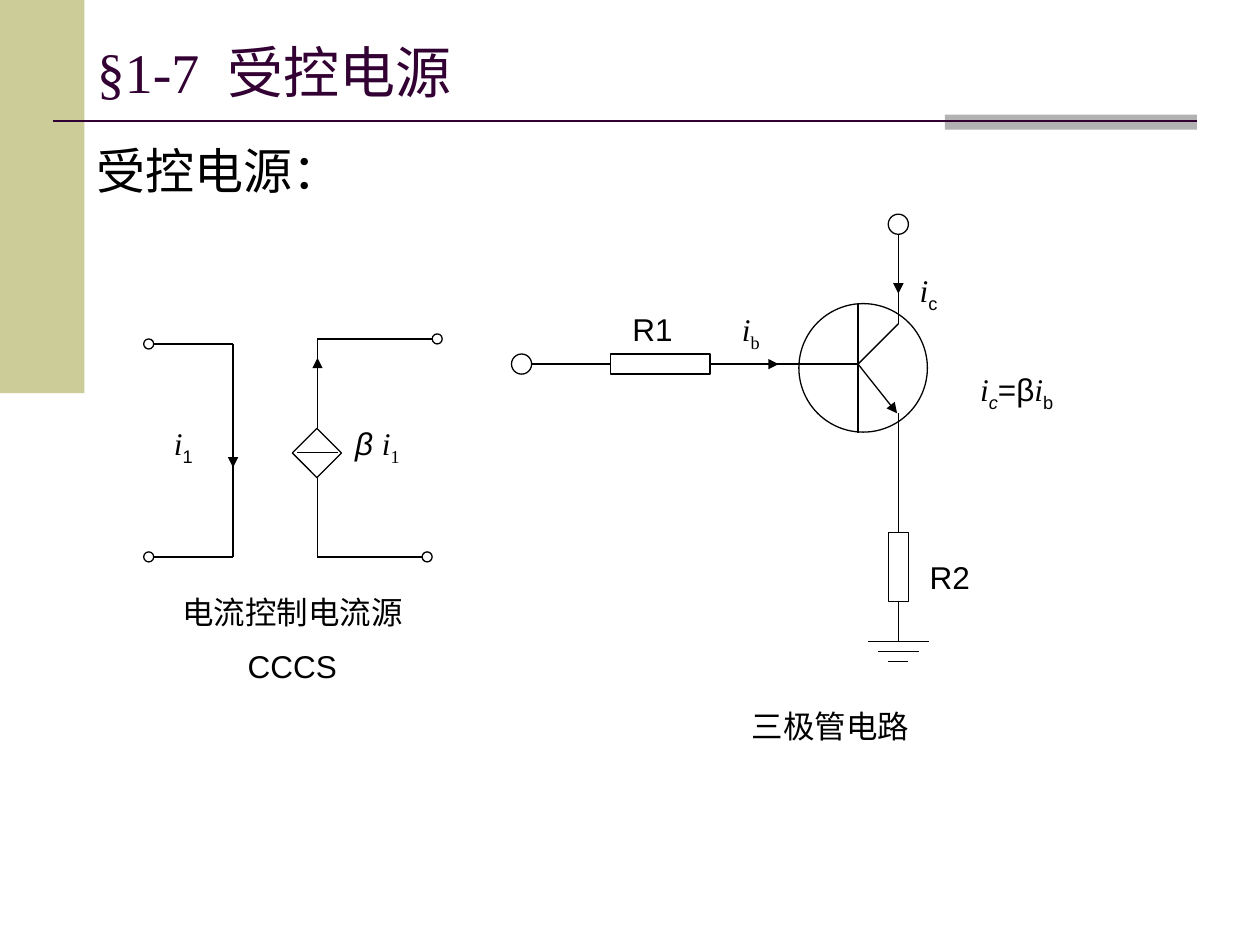
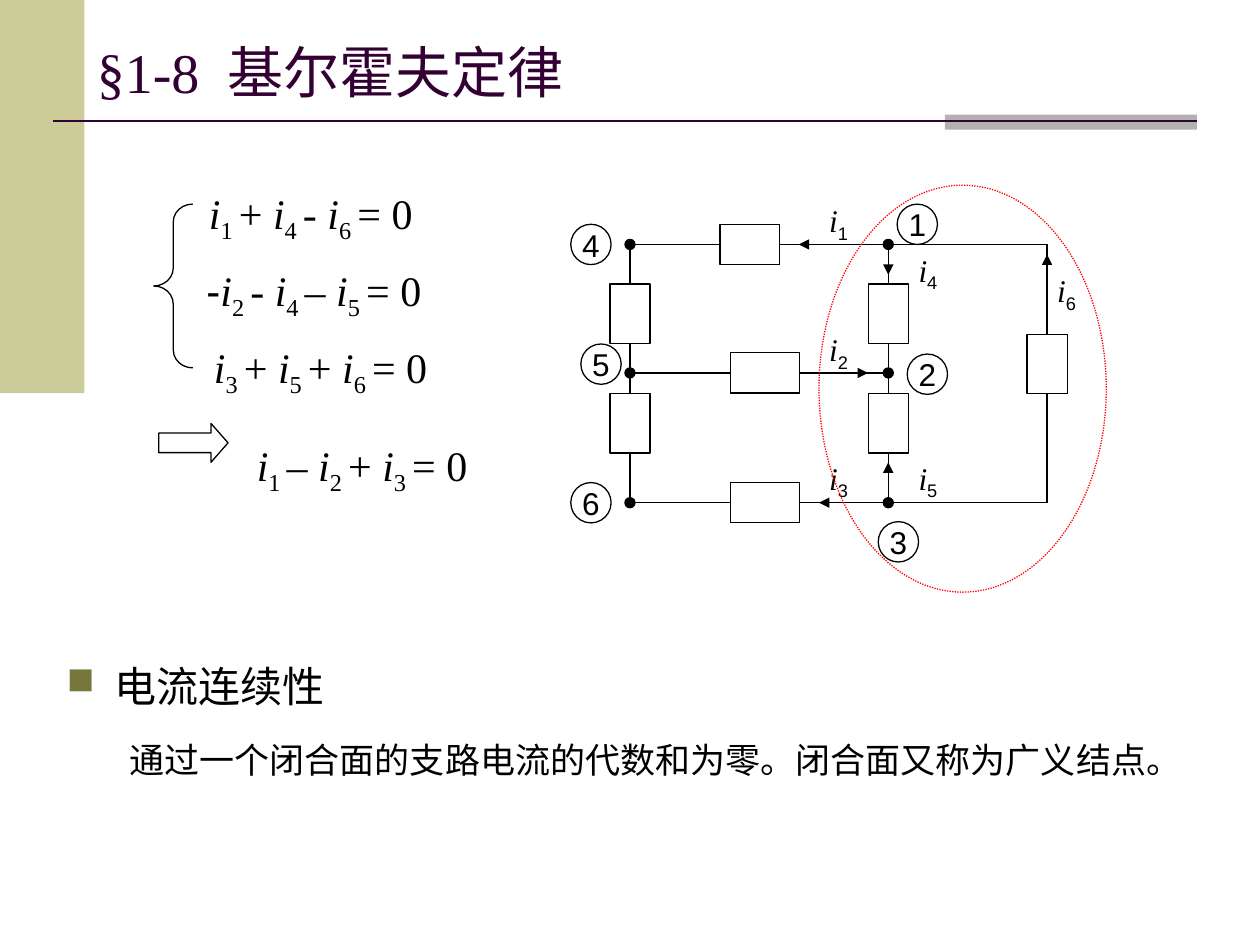
from dataclasses import dataclass

import pptx
import pptx.dml.color
import pptx.enum.dml
import pptx.enum.shapes
import pptx.enum.text
import pptx.oxml.ns
import pptx.oxml.xmlchemy
import pptx.util
from lxml import etree
from pptx.util import Inches

COLORS = {"olive": "CCCC99", "grey": "B2B2B2", "plum": "330033",
          "ink": "000000", "red": "FF0000", "bullet": "77773B"}
SANS, SERIF = "Arial", "Times New Roman"
SHAPE = pptx.enum.shapes.MSO_SHAPE
ALIGN = pptx.enum.text.PP_ALIGN
ANCHOR = pptx.enum.text.MSO_ANCHOR


def rgb(name):
    return pptx.dml.color.RGBColor.from_string(COLORS[name])


def add_element(parent, tag, **attributes):
    return etree.SubElement(parent, pptx.oxml.ns.qn(tag), attributes)


def format_run(run, size, font, color="ink", italic=False, subscript=False):
    run.font.size = pptx.util.Pt(size)
    run.font.name = font
    run.font.italic = italic
    run.font.color.rgb = rgb(color)
    if subscript:
        run.font._element.set("baseline", "-25000")


def add_run(paragraph, text, size, font, **style):
    if text:
        run = paragraph.add_run()
        run.text = text
        format_run(run, size, font, **style)


def write_symbols(paragraph, text, size, sub_font=SANS, rest_font=SANS):
    """Write text in which i_x stands for an italic i with subscript x."""
    lead, *pieces = text.split("i_")
    add_run(paragraph, lead, size, SANS)
    for piece in pieces:
        cut = 2 if piece[1:2] == " " else 1
        add_run(paragraph, "i", size, SERIF, italic=True)
        add_run(paragraph, piece[:cut], size, sub_font, subscript=True)
        add_run(paragraph, piece[cut:], size, rest_font)


@dataclass
class Region:
    """Part of a slide; all positions are measured from its corner."""
    slide: object
    left: float
    top: float

    def shape(self, kind, left, top, width, height, fill=None, line="ink"):
        shape = self.slide.shapes.add_shape(
            kind, Inches(self.left + left), Inches(self.top + top),
            Inches(width), Inches(height))
        shape.shadow.inherit = False
        if fill:
            shape.fill.solid()
            shape.fill.fore_color.rgb = rgb(fill)
        else:
            shape.fill.background()
        if line:
            shape.line.color.rgb = rgb(line)
            shape.line.width = pptx.util.Pt(0.75)
        else:
            shape.line.fill.background()
        return shape

    def circle(self, x, y, diameter, fill=None):
        return self.shape(SHAPE.OVAL, x - diameter / 2, y - diameter / 2,
                          diameter, diameter, fill)

    def resistor(self, x, y, width, height):
        return self.shape(SHAPE.RECTANGLE, x - width / 2, y - height / 2,
                          width, height)

    def line(self, start, end, arrow=False, color="ink", width=0.75):
        (x1, y1), (x2, y2) = start, end
        connector = self.slide.shapes.add_connector(
            pptx.enum.shapes.MSO_CONNECTOR.STRAIGHT,
            Inches(self.left + x1), Inches(self.top + y1),
            Inches(self.left + x2), Inches(self.top + y2))
        connector.line.color.rgb = rgb(color)
        connector.line.width = pptx.util.Pt(width)
        if arrow:
            add_element(connector.line._get_or_add_ln(), "a:tailEnd",
                        type="triangle")
        add_element(connector._element.spPr, "a:effectLst")

    def wire(self, *points):
        for start, end in zip(points, points[1:]):
            self.line(start, end)

    def arrow(self, start, end):
        self.line(start, end, arrow=True)

    def text_box(self, left, top, width, height):
        box = self.slide.shapes.add_textbox(
            Inches(self.left + left), Inches(self.top + top),
            Inches(width), Inches(height))
        box.text_frame.word_wrap = True
        return box.text_frame

    def label(self, text, left, top, width=0.47, align=ALIGN.LEFT,
              sub_font=SANS):
        paragraph = self.text_box(left, top, width, 0.4).paragraphs[0]
        paragraph.alignment = align
        write_symbols(paragraph, text, 18, sub_font)
        return paragraph


def add_frame(slide, number, title):
    page = Region(slide, 0, 0)
    # Side band, accent bar and rule
    page.shape(SHAPE.RECTANGLE, 0, 0, 0.67, 3.12, "olive", None)
    page.shape(SHAPE.RECTANGLE, 7.5, 0.91, 2, 0.12, "grey", None)
    page.line((0.42, 0.96), (9.5, 0.96), color="plum", width=1.5)
    # Title, with a wider space after the section number
    text_frame = page.text_box(0.67, 0.3, 8.83, 0.53)
    text_frame.vertical_anchor = ANCHOR.MIDDLE
    paragraph = text_frame.paragraphs[0]
    for text in (number, " ", title):
        add_run(paragraph, text, 32, SERIF, color="plum")
    paragraph.runs[1].font._element.set("spc", "800")


def add_current_source(slide, left, top):
    region = Region(slide, left, top)
    upper, lower = 0.08, 1.77
    input_x, output_x = 0.71, 1.38
    # Controlling branch
    for y in (upper, lower):
        region.circle(0.04, y, 0.08)
    region.wire((0.08, upper), (input_x, upper), (input_x, lower),
                (0.08, lower))
    region.arrow((input_x, 0.35), (input_x, 1.06))
    region.label("i_1", 0.08, 0.67, align=ALIGN.CENTER)
    # Controlled branch
    region.shape(SHAPE.DIAMOND, 1.18, 0.75, 0.39, 0.39)
    region.line((1.22, 0.94), (1.54, 0.94))
    region.wire((output_x, 0.75), (output_x, 0.04), (2.29, 0.04))
    region.wire((output_x, 1.14), (output_x, lower), (2.21, lower))
    region.circle(2.33, 0.04, 0.08)
    region.circle(2.25, lower, 0.08)
    region.arrow((output_x, 0.59), (output_x, 0.19))
    gain = region.label("β i_1", 1.42, 0.67, 0.87, ALIGN.CENTER, SERIF)
    gain.runs[0].font.italic = True
    # Caption
    caption = region.text_box(-0.16, 2.01, 2.68, 0.85)
    caption.text = "电流控制电流源\nCCCS"
    for paragraph in caption.paragraphs:
        paragraph.alignment = ALIGN.CENTER
        format_run(paragraph.runs[0], 18, SANS)
    caption.paragraphs[1].space_before = pptx.util.Pt(9)


def add_transistor_circuit(slide, left, top):
    region = Region(slide, left, top)
    base = (2.75, 1.19)
    base_y, output_x = 1.19, 3.07
    # Transistor
    region.shape(SHAPE.OVAL, 2.28, 0.71, 1.02, 1.02)
    region.line((base[0], 0.71), (base[0], 1.74))
    region.arrow(base, (3.06, 1.58))
    region.wire(base, (output_x, 0.87), (output_x, 0.16))
    # Base branch
    region.circle(0.08, base_y, 0.16)
    region.line((0.16, base_y), (0.78, base_y))
    region.resistor(1.18, base_y, 0.79, 0.16)
    region.line((1.57, base_y), base)
    region.arrow((1.73, base_y), (2.12, base_y))
    # Collector and emitter branches
    region.circle(output_x, 0.08, 0.16)
    region.arrow((output_x, 0.24), (output_x, 0.63))
    region.line((output_x, 1.58), (output_x, 2.52))
    region.resistor(output_x, 2.8, 0.16, 0.55)
    region.line((output_x, 3.07), (output_x, 3.39))
    # Ground
    for step in range(3):
        half, y = 0.24 - 0.08 * step, 3.39 + 0.08 * step
        region.line((output_x - half, y), (output_x + half, y))
    # Labels
    region.label("R1", 0.86, 0.71, 0.55)
    region.label("R2", 3.22, 2.68, 0.63)
    region.label("i_b", 1.73, 0.71, sub_font=SERIF)
    region.label("i_c", 3.14, 0.4)
    relation = region.label("i_c=βi_b", 3.62, 1.19, 2.05)
    relation.runs[1].font.italic = True
    region.label("三极管电路", 1.81, 3.86, 1.73)


def add_equations(slide, left, top):
    region = Region(slide, left, top)
    brace = region.shape(SHAPE.LEFT_BRACE, 0, 0, 0.31, 1.3)
    brace.adjustments[0] = 0.459
    arrow = region.shape(SHAPE.RIGHT_ARROW, 0.04, 1.74, 0.55, 0.31)
    arrow.adjustments[1] = 0.438
    text_frame = region.text_box(0.3, -0.09, 3, 2.5)
    # Equation, indent in inches, space before in points
    equations = [("i_1 + i_4 - i_6 = 0", 0.04, 0),
                 ("-i_2 - i_4 – i_5 = 0", 0.02, 18),
                 ("i_3 + i_5 + i_6 = 0", 0.08, 18),
                 ("i_1 – i_2 + i_3 = 0", 0.42, 30)]
    for index, (text, indent, space) in enumerate(equations):
        paragraph = (text_frame.add_paragraph() if index
                     else text_frame.paragraphs[0])
        paragraph.line_spacing = pptx.util.Pt(26)
        paragraph.space_before = pptx.util.Pt(space)
        paragraph._element.get_or_add_pPr().set("marL", str(Inches(indent)))
        write_symbols(paragraph, text, 24, SERIF, SERIF)


def add_network(slide, left, top):
    region = Region(slide, left, top)
    left_x, middle_x, right_x = 0.47, 2.52, 3.78
    rows = (0.47, 1.49, 2.52)
    # Horizontal branches: resistor centre, width and right end of the wire
    branches = [(1.42, 0.47, right_x), (1.54, 0.55, middle_x),
                (1.54, 0.55, right_x)]
    for y, (x, width, end) in zip(rows, branches):
        region.resistor(x, y, width, 0.32)
        region.line((left_x, y), (x - width / 2, y))
        region.line((x + width / 2, y), (end, y))
    # Vertical branches: column, resistor centre, upper and lower end
    columns = [(x, y, *ends) for x in (left_x, middle_x)
               for y, ends in ((1.02, rows[:2]), (1.89, rows[1:]))]
    columns.append((right_x, 1.42, rows[0], rows[2]))
    for x, y, upper, lower in columns:
        region.resistor(x, y, 0.32, 0.47)
        region.line((x, upper), (x, y - 0.235))
        region.line((x, y + 0.235), (x, lower))
    # Nodes
    for x in (left_x, middle_x):
        for y in rows:
            region.circle(x, y, 0.08, "ink")
    numbers = [("4", 0.16, 0.47), ("5", 0.24, 1.42), ("6", 0.16, 2.52),
               ("1", 2.75, 0.31), ("2", 2.83, 1.5), ("3", 2.6, 2.83)]
    for number, x, y in numbers:
        text_frame = region.circle(x, y, 0.32).text_frame
        text_frame.text = number
        text_frame.word_wrap = False
        text_frame.vertical_anchor = ANCHOR.MIDDLE
        text_frame.margin_left = text_frame.margin_right = 0
        text_frame.margin_top = text_frame.margin_bottom = 0
        text_frame.paragraphs[0].alignment = ALIGN.CENTER
        format_run(text_frame.paragraphs[0].runs[0], 18, SANS)
    # Currents: arrow and label corner
    currents = {
        "i_1": ((2.28, rows[0]), (1.81, rows[0]), 1.89, 0.08),
        "i_2": ((1.89, rows[1]), (2.36, rows[1]), 1.89, 1.1),
        "i_3": ((2.36, rows[2]), (1.97, rows[2]), 1.89, 2.12),
        "i_4": ((middle_x, 0.47), (middle_x, 0.71), 2.6, 0.47),
        "i_5": ((middle_x, 2.52), (middle_x, 2.2), 2.6, 2.12),
        "i_6": ((right_x, 1.02), (right_x, 0.55), 3.7, 0.63)}
    for name, (start, end, x, y) in currents.items():
        region.arrow(start, end)
        region.label(name, x, y, align=ALIGN.CENTER)
    # Closed surface
    surface = region.shape(SHAPE.OVAL, 1.97, 0, 2.28, 3.23, line="red")
    surface.line.dash_style = pptx.enum.dml.MSO_LINE.ROUND_DOT


def add_statement(slide, left, top):
    text_frame = Region(slide, left, top).text_box(0, 0, 9.1, 1.1)
    text_frame.text = ("电流连续性\n"
                       "通过一个闭合面的支路电流的代数和为零。闭合面又称为广义结点。")
    heading, detail = text_frame.paragraphs
    heading.line_spacing = pptx.util.Pt(26)
    properties = heading._element.get_or_add_pPr()
    properties.set("marL", str(Inches(0.38)))
    properties.set("indent", str(Inches(-0.38)))
    add_element(add_element(properties, "a:buClr"), "a:srgbClr",
                val=COLORS["bullet"])
    add_element(properties, "a:buSzPct", val="90000")
    add_element(properties, "a:buChar", char="■")
    format_run(heading.runs[0], 24, SANS)
    detail.line_spacing = pptx.util.Pt(22)
    detail.space_before = pptx.util.Pt(18)
    detail._element.get_or_add_pPr().set("marL", str(Inches(0.5)))
    format_run(detail.runs[0], 20, SANS)


def main():
    presentation = pptx.Presentation()
    presentation.slide_width, presentation.slide_height = Inches(10), Inches(7.5)
    blank = presentation.slide_layouts[6]

    # Controlled sources
    slide = presentation.slides.add_slide(blank)
    add_frame(slide, "§1-7", "受控电源")
    heading = Region(slide, 0.67, 1.07).text_box(0, 0, 8.74, 0.6)
    heading.text = "受控电源："
    format_run(heading.paragraphs[0].runs[0], 28, SANS)
    add_current_source(slide, 1.14, 2.65)
    add_transistor_circuit(slide, 4.06, 1.7)

    # Kirchhoff's laws
    slide = presentation.slides.add_slide(blank)
    add_frame(slide, "§1-8", "基尔霍夫定律")
    add_equations(slide, 1.22, 1.62)
    add_network(slide, 4.53, 1.47)
    add_statement(slide, 0.43, 5.23)

    presentation.save("out.pptx")


if __name__ == "__main__":
    main()
